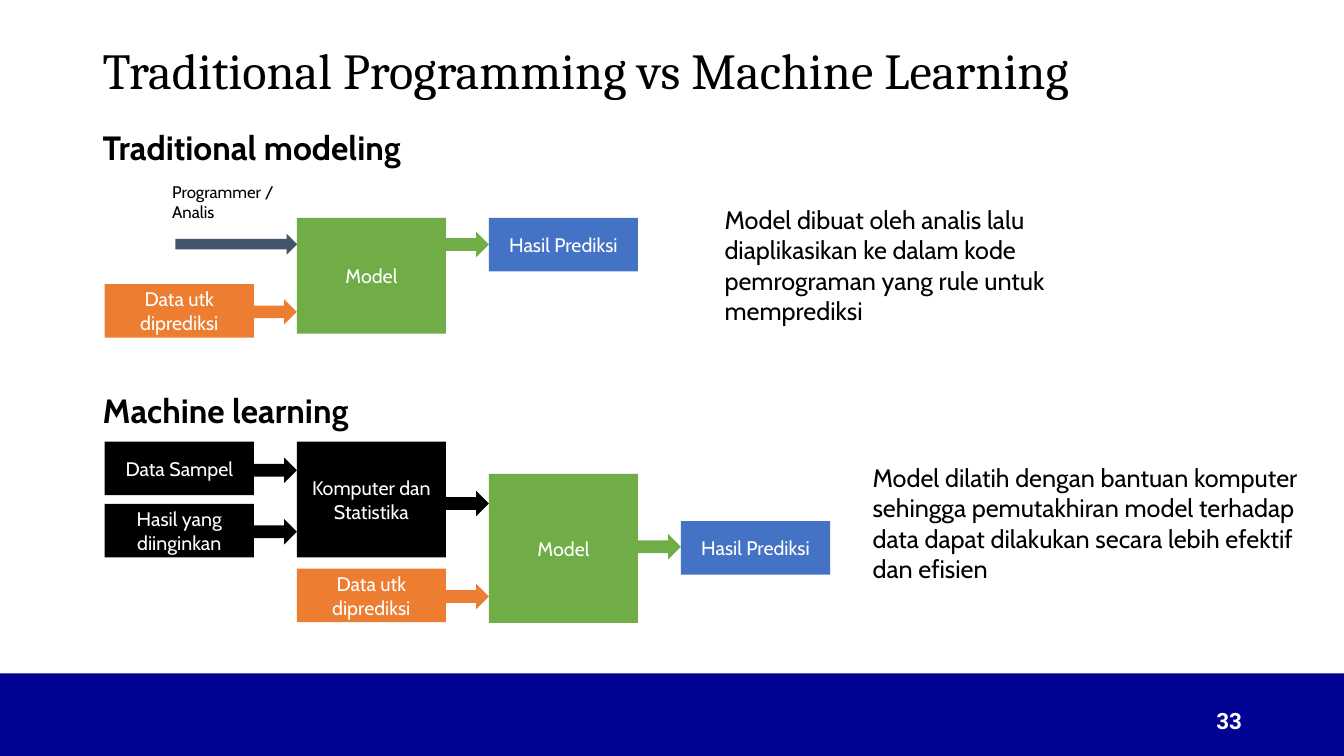
from dataclasses import dataclass

from pptx import Presentation
from pptx.dml.color import RGBColor
from pptx.enum.shapes import MSO_SHAPE as Shape
from pptx.enum.text import MSO_ANCHOR as Anchor, MSO_AUTO_SIZE as AutoSize, PP_ALIGN as Align
from pptx.util import Cm, Pt


@dataclass(frozen=True)
class Theme:
    black: str = "000000"
    white: str = "FFFFFF"
    navy: str = "020294"
    green: str = "70AD47"
    orange: str = "ED7D31"
    blue: str = "4472C4"
    slate: str = "44546A"
    title_font: str = "Cambria"
    body_font: str = "Cabin"
    number_font: str = "Roboto"
    title_size: int = 36
    heading_size: int = 24
    body_size: int = 18
    number_size: int = 16
    box_size: int = 14
    caption_size: int = 12


THEME = Theme()
SLIDE_WIDTH, SLIDE_HEIGHT = 33.87, 19.05
BOX_WIDTH, BOX_HEIGHT, GAP = 3.76, 1.35, 1.08
FIRST_COLUMN = 2.64
ARROW_HEIGHT = 0.64


def column_left(column):
    return FIRST_COLUMN + column * (BOX_WIDTH + GAP)


class SlideBuilder:
    def __init__(self, slide, theme):
        self.slide = slide
        self.theme = theme

    def set_text(self, frame, text, size, color, font=None, bold=False, align=Align.LEFT):
        frame.text = text
        for paragraph in frame.paragraphs:
            paragraph.alignment = align
            for run in paragraph.runs:
                run.font.name = font or self.theme.body_font
                run.font.size = Pt(size)
                run.font.bold = bold
                run.font.color.rgb = RGBColor.from_string(color)

    def filled(self, kind, left, top, width, height, color):
        shape = self.slide.shapes.add_shape(kind, Cm(left), Cm(top), Cm(width), Cm(height))
        shape.shadow.inherit = False
        shape.fill.solid()
        shape.fill.fore_color.rgb = RGBColor.from_string(color)
        shape.line.fill.background()
        return shape

    def box(self, text, column, top, color, height=BOX_HEIGHT):
        shape = self.filled(Shape.RECTANGLE, column_left(column), top, BOX_WIDTH, height, color)
        frame = shape.text_frame
        frame.word_wrap = True
        frame.vertical_anchor = Anchor.MIDDLE
        self.set_text(frame, text, self.theme.box_size, self.theme.white, align=Align.CENTER)

    def arrow(self, column, top, color):
        """Fill the gap to the right of a column."""
        left = column_left(column) + BOX_WIDTH
        self.filled(Shape.RIGHT_ARROW, left, top, GAP, ARROW_HEIGHT, color)

    def text(self, text, left, top, width, height, size, color=None,
             anchor=Anchor.TOP, wrap=True, grow=False, **style):
        text_box = self.slide.shapes.add_textbox(Cm(left), Cm(top), Cm(width), Cm(height))
        frame = text_box.text_frame
        frame.word_wrap = wrap
        frame.vertical_anchor = anchor
        frame.auto_size = AutoSize.SHAPE_TO_FIT_TEXT if grow else AutoSize.NONE
        self.set_text(frame, text, size, color or self.theme.black, **style)
        return frame

    def heading(self, text, top, width):
        self.text(text, 2.34, top, width, 1.27, self.theme.heading_size,
                  wrap=False, grow=True, bold=True)

    def explanation(self, text, left, top):
        self.text(text, left, top, 11.46, 3.33, self.theme.body_size, grow=True)


def add_frame(builder):
    """Add the footer band, slide number and title."""
    theme = builder.theme
    builder.filled(Shape.RECTANGLE, 0, 16.97, SLIDE_WIDTH, SLIDE_HEIGHT - 16.97, theme.navy)
    builder.text("33", 23.93, 17.65, 7.62, 1.02, theme.number_size, theme.white,
                 anchor=Anchor.MIDDLE, font=theme.number_font, bold=True, align=Align.RIGHT)
    title = builder.text("Traditional Programming vs Machine Learning", 2.34, 0.48, 29.21, 2.72,
                         theme.title_size, anchor=Anchor.MIDDLE, font=theme.title_font)
    title.paragraphs[0].line_spacing = 0.9


def add_traditional(builder):
    theme = builder.theme
    builder.heading("Traditional modeling", 3.07, 8.92)
    builder.box("Model", 1, 5.49, theme.green, height=2.92)
    builder.box("Data utk diprediksi", 0, 7.16, theme.orange)
    builder.box("Hasil Prediksi", 2, 5.49, theme.blue)
    builder.arrow(0, 7.54, theme.orange)
    builder.arrow(1, 5.84, theme.green)
    builder.filled(Shape.RIGHT_ARROW, 4.42, 5.89, 3.07, 0.53, theme.slate)
    builder.text("Programmer / Analis", 4.09, 4.45, 4.06, 1.27, theme.caption_size, grow=True)
    builder.explanation(
        "Model dibuat oleh analis lalu diaplikasikan ke dalam kode pemrograman "
        "yang rule untuk memprediksi", 18.01, 5.03)


def add_machine_learning(builder):
    theme = builder.theme
    builder.heading("Machine learning", 9.7, 7.49)
    builder.box("Data Sampel", 0, 11.13, theme.black)
    builder.box("Hasil yang diinginkan", 0, 12.7, theme.black)
    builder.box("Komputer dan\nStatistika", 1, 11.13, theme.black, height=2.92)
    builder.box("Model", 2, 11.94, theme.green, height=3.76)
    builder.box("Data utk diprediksi", 1, 14.33, theme.orange)
    builder.box("Hasil Prediksi", 3, 13.13, theme.blue)
    for column, top, color in (
        (0, 11.53, theme.black),
        (0, 13.08, theme.black),
        (1, 12.37, theme.black),
        (1, 14.71, theme.orange),
        (2, 13.46, theme.green),
    ):
        builder.arrow(column, top, color)
    builder.explanation(
        "Model dilatih dengan bantuan komputer sehingga pemutakhiran model terhadap "
        "data dapat dilakukan secara lebih efektif dan efisien", 21.74, 11.53)


def main():
    presentation = Presentation()
    presentation.slide_width = Cm(SLIDE_WIDTH)
    presentation.slide_height = Cm(SLIDE_HEIGHT)
    slide = presentation.slides.add_slide(presentation.slide_layouts[6])
    builder = SlideBuilder(slide, THEME)
    add_frame(builder)
    add_traditional(builder)
    add_machine_learning(builder)
    presentation.save("out.pptx")


if __name__ == "__main__":
    main()
